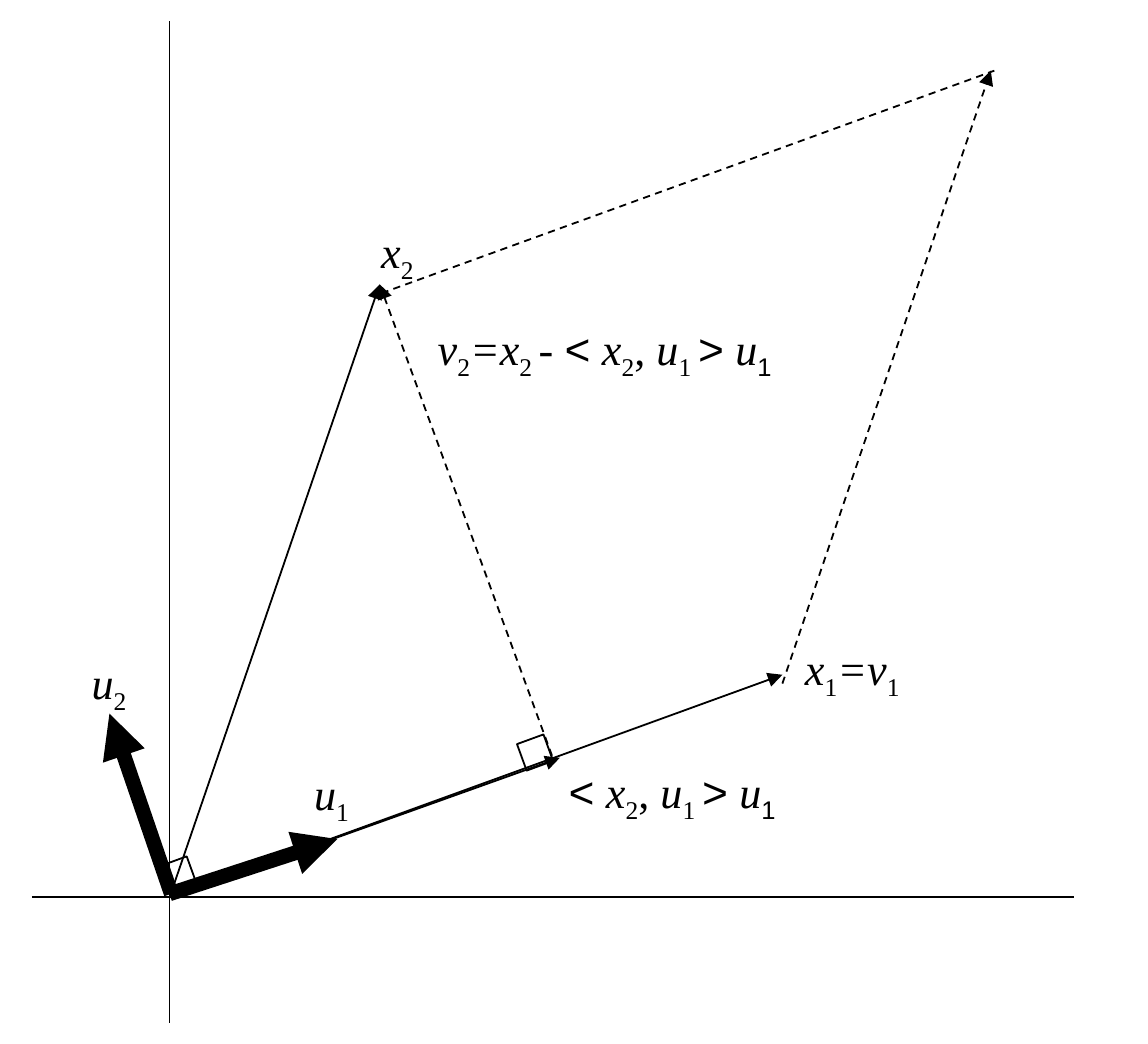
import pptx
import pptx.util
import pptx.dml.color
import pptx.enum.dml
import pptx.enum.shapes
import pptx.enum.text
import pptx.oxml.ns
import lxml.etree
from dataclasses import dataclass

PX = 9144


@dataclass(frozen=True)
class Theme:
    ink: str = "000000"
    text_size: int = 18
    thin: float = 0.75
    thick: float = 6
    serif: str = "Times New Roman"
    mono: str = "Courier New"
    sans: str = "Arial"
    subscript: int = -25000


class Diagram:
    def __init__(self, deck, theme):
        self.theme = theme
        self.page = deck.slides.add_slide(deck.slide_layouts[6])
        self.ink = pptx.dml.color.RGBColor.from_string(theme.ink)
        self.styles = {
            "italic": (theme.serif, True, 0),
            "plain": (theme.serif, False, 0),
            "sub": (theme.serif, False, theme.subscript),
            "mono": (theme.mono, False, 0),
            "sans_sub": (theme.sans, False, theme.subscript),
        }

    def line(self, start, end, width=None, dashed=False, head=False, tail=False):
        points = [value * PX for value in (*start, *end)]
        connector = self.page.shapes.add_connector(
            pptx.enum.shapes.MSO_CONNECTOR.STRAIGHT, *points)
        connector.line.color.rgb = self.ink
        connector.line.width = pptx.util.Pt(width or self.theme.thin)
        if dashed:
            connector.line.dash_style = pptx.enum.dml.MSO_LINE.DASH
        outline = connector.line._get_or_add_ln()
        for tag, wanted in (("a:headEnd", head), ("a:tailEnd", tail)):
            if wanted:
                lxml.etree.SubElement(
                    outline, pptx.oxml.ns.qn(tag), type="triangle")
        lxml.etree.SubElement(
            connector._element.spPr, pptx.oxml.ns.qn("a:effectLst"))

    def right_angle(self, left, top, side=16, rotation=340):
        square = self.page.shapes.add_shape(
            pptx.enum.shapes.MSO_SHAPE.RECTANGLE,
            left * PX, top * PX, side * PX, side * PX)
        square.rotation = rotation
        square.shadow.inherit = False
        square.fill.background()
        square.line.color.rgb = self.ink
        square.line.width = pptx.util.Pt(self.theme.thin)

    def label(self, left, top, width, spans, height=44):
        box = self.page.shapes.add_textbox(
            left * PX, top * PX, width * PX, height * PX)
        frame_format = {
            "word_wrap": True,
            "auto_size": pptx.enum.text.MSO_AUTO_SIZE.NONE,
            "margin_left": 10 * PX, "margin_right": 0,
            "margin_top": 5 * PX, "margin_bottom": 5 * PX,
        }
        for name, value in frame_format.items():
            setattr(box.text_frame, name, value)
        para = box.text_frame.paragraphs[0]
        for text, style in spans:
            self.span(para, text, style)

    def span(self, para, text, style):
        family, italic, baseline = self.styles[style]
        span = para.add_run()
        span.text = text
        span_format = {
            "name": family, "italic": italic,
            "size": pptx.util.Pt(self.theme.text_size),
        }
        for name, value in span_format.items():
            setattr(span.font, name, value)
        span.font.color.rgb = self.ink
        if baseline:
            span._r.get_or_add_rPr().set("baseline", str(baseline))


def variable(name, index):
    return [(name, "italic"), (index, "sub")]


def main():
    theme = Theme()
    deck = pptx.Presentation()
    deck.slide_width = 650 * PX
    deck.slide_height = 591 * PX
    diagram = Diagram(deck, theme)

    origin = (96, 508)
    x2_tip = (215, 161)
    projection = [
        ("<", "mono"), *variable(" x", "2"), (", ", "plain"),
        *variable("u", "1 "), (">", "mono"),
        (" u", "italic"), ("1", "sans_sub"),
    ]

    diagram.line((18, 508), (608, 508))
    diagram.line((96, 579), (96, 12))
    diagram.line(origin, (443, 382), tail=True)
    diagram.line((96, 506), (191, 475), width=theme.thick, tail=True)
    diagram.line(origin, x2_tip, tail=True)
    diagram.label(168, 429, 40, variable("u", "1"))
    diagram.label(446, 358, 73, variable("x", "1") + variable("=v", "1"))
    diagram.label(206, 122, 38, variable("x", "2"))
    diagram.line(origin, (317, 429), tail=True)
    diagram.line(x2_tip, (313, 429), dashed=True, head=True)
    diagram.label(312, 428, 138, projection)
    diagram.right_angle(295, 418)
    diagram.label(
        238, 177, 219,
        variable("v", "2") + variable("=x", "2 ") + [("- ", "plain")] + projection)
    diagram.right_angle(93, 487)
    diagram.line((97, 506), (62, 404), width=theme.thick, tail=True)
    diagram.label(42, 366, 40, variable("u", "2"))
    diagram.line((216, 166), (563, 40), dashed=True)
    diagram.line((443, 387), (561, 40), dashed=True, tail=True)

    deck.save("out.pptx")


if __name__ == "__main__":
    main()
